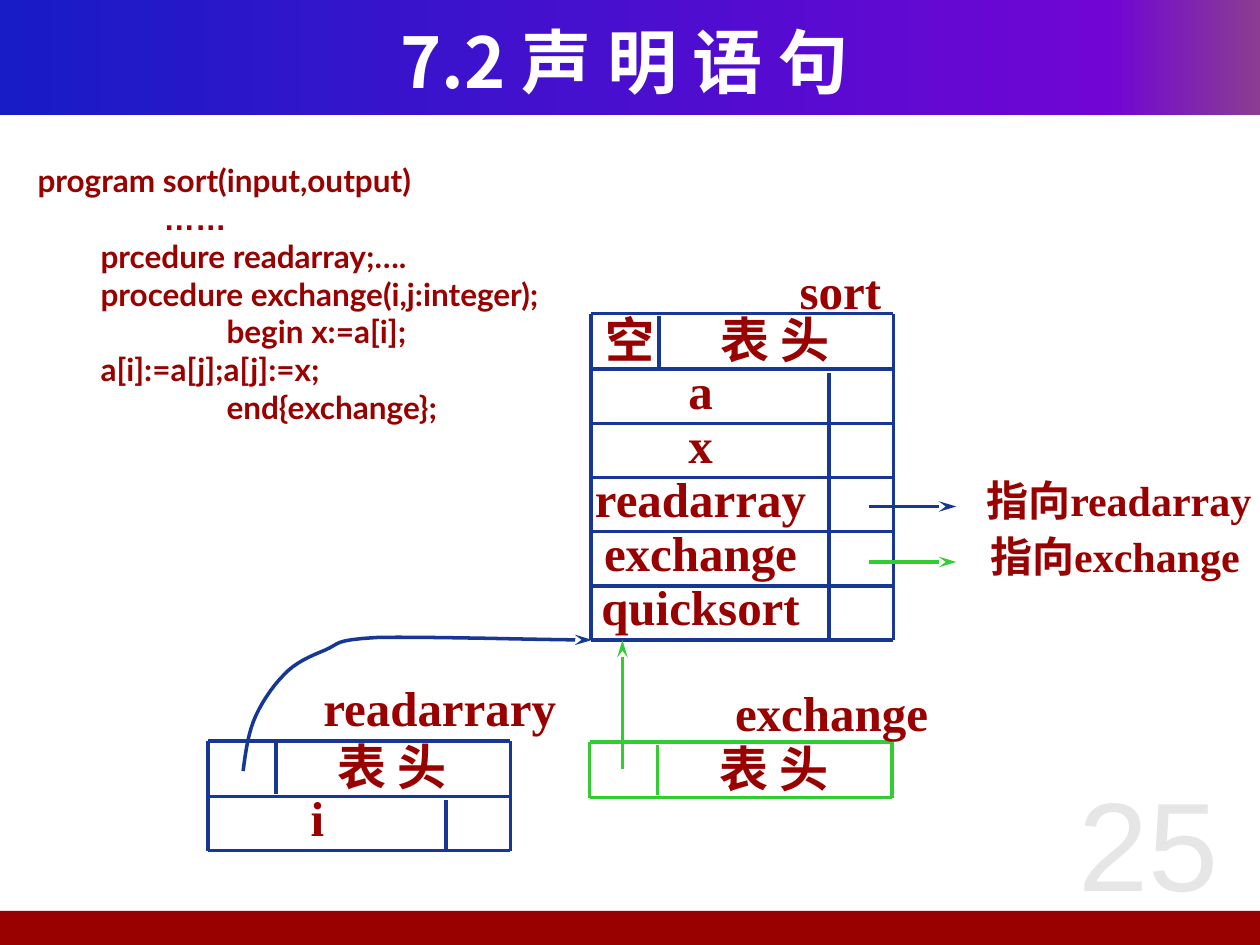
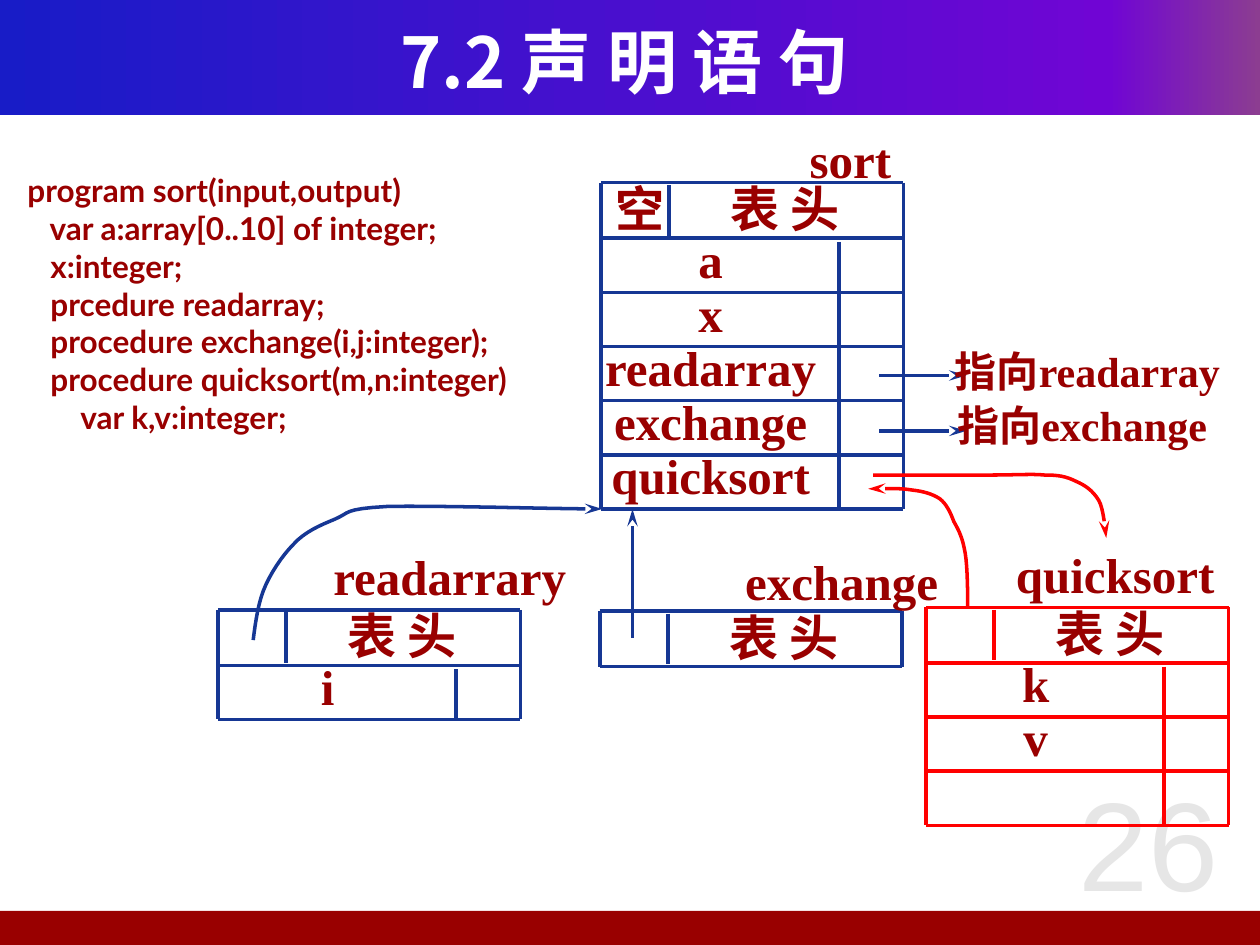
from dataclasses import dataclass
from typing import NamedTuple

from lxml import etree
from pptx import Presentation
from pptx.dml.color import RGBColor
from pptx.enum.shapes import MSO_CONNECTOR, MSO_SHAPE
from pptx.enum.text import MSO_ANCHOR, PP_ALIGN
from pptx.oxml.ns import qn
from pptx.util import Inches, Pt

LEFT, CENTER = PP_ALIGN.LEFT, PP_ALIGN.CENTER
MIDDLE, TOP = MSO_ANCHOR.MIDDLE, MSO_ANCHOR.TOP
STRAIGHT, RECTANGLE = MSO_CONNECTOR.STRAIGHT, MSO_SHAPE.RECTANGLE

COLORS = {
    "text": "990000",
    "blue": "163794",
    "green": "33CC33",
    "red": "FF0000",
    "title": "FFFFFF",
    "number": "E6E6E6",
}
BAND_STOPS = [(0, "181CC7"), (88, "7005D4"), (100, "8C3D91")]
CJK, SERIF, SANS, CODE = "Noto Sans CJK SC", "Times New Roman", "Arial", "Lato"

TABLE_WIDTH, HEAD_HEIGHT, ROW_HEIGHT = 2.4, 0.44, 0.43
LINK_WIDTH, NAME_WIDTH = 0.54, 1.89
LABEL_WIDTH, LABEL_HEIGHT = 2.2, 0.53


class Point(NamedTuple):
    x: float
    y: float

    def moved(self, x: float, y: float) -> "Point":
        return Point(self.x + x, self.y + y)


class Area(NamedTuple):
    left: float
    top: float
    width: float
    height: float


@dataclass
class Style:
    size: int
    font: str = SERIF
    color: str = "text"
    bold: bool = True
    align: PP_ALIGN = CENTER


@dataclass
class CodeLine:
    text: str
    indent: float = 0
    font: str = CODE


@dataclass
class SymbolTable:
    """One procedure's table; title_at is the title's top centre from the corner."""
    title: str
    title_at: Point
    names: list[str]
    link: str = ""


LABEL = Style(28)
POINTER = Style(24)
TITLE = Style(40, CJK, "title")
PAGE_NUMBER = Style(72, SANS, "number", bold=False)

SORT = SymbolTable("sort", Point(1.98, -0.47),
                   ["a", "x", "readarray", "exchange", "quicksort"], "空")
READARRAY = SymbolTable("readarrary", Point(1.84, -0.55), ["i"])
EXCHANGE = SymbolTable("exchange", Point(1.92, -0.52), [])
QUICKSORT = SymbolTable("quicksort", Point(1.5, -0.55), ["k", "v", ""])

# Curves: a start point, then three Bezier points per segment.
READARRAY_LINK = [
    (-2.76, 3.63), (-2.75, 3.56), (-2.73, 3.37), (-2.68, 3.24),
    (-2.63, 3.11), (-2.53, 2.96), (-2.44, 2.87),
    (-2.35, 2.77), (-2.23, 2.72), (-2.11, 2.67),
    (-1.99, 2.62), (-2.05, 2.59), (-1.7, 2.57),
    (-1.35, 2.56), (-0.35, 2.59), (0.01, 2.59),
]
QUICKSORT_LINK = [
    (7.68, 4.82), (7.68, 4.75), (7.68, 4.5), (7.66, 4.39),
    (7.64, 4.27), (7.61, 4.21), (7.57, 4.14),
    (7.54, 4.06), (7.51, 4), (7.46, 3.96),
    (7.4, 3.92), (7.33, 3.9), (7.24, 3.89),
    (7.14, 3.87), (6.96, 3.88), (6.89, 3.88),
]
QUICKSORT_POINTER = [
    (6.93, 3.77), (7.08, 3.77), (7.63, 3.77), (7.85, 3.77),
    (8.08, 3.77), (8.18, 3.76), (8.29, 3.77),
    (8.4, 3.77), (8.46, 3.78), (8.54, 3.82),
    (8.61, 3.85), (8.67, 3.89), (8.72, 3.97),
    (8.76, 4.04), (8.77, 4.2), (8.78, 4.27),
]

SORT_CODE = [
    CodeLine("program sort(input,output)"),
    CodeLine("……", 1, SANS),
    CodeLine("prcedure readarray;….", 0.5),
    CodeLine("procedure exchange(i,j:integer);", 0.5),
    CodeLine("begin x:=a[i];", 1.5),
    CodeLine("a[i]:=a[j];a[j]:=x;", 0.5),
    CodeLine("end{exchange};", 1.5),
]
QUICKSORT_CODE = [
    CodeLine("program sort(input,output)"),
    CodeLine("   var a:array[0..10] of integer;"),
    CodeLine("   x:integer;"),
    CodeLine("   prcedure readarray;"),
    CodeLine("   procedure exchange(i,j:integer);"),
    CodeLine("   procedure quicksort(m,n:integer)"),
    CodeLine("       var k,v:integer;"),
]


def rgb(name: str) -> RGBColor:
    return RGBColor.from_string(COLORS[name])


def style_paragraph(paragraph, style: Style) -> None:
    paragraph.alignment = style.align
    font = paragraph.font
    font.size, font.bold, font.name = Pt(style.size), style.bold, style.font
    font.color.rgb = rgb(style.color)
    defaults = paragraph._p.pPr.find(qn("a:defRPr"))
    etree.SubElement(defaults, qn("a:ea")).set("typeface", CJK)


def add_frame(page, area: Area, anchor=TOP, wrap: bool = False):
    box = page.shapes.add_textbox(*map(Inches, area))
    frame = box.text_frame
    frame.word_wrap, frame.vertical_anchor = wrap, anchor
    return frame


def add_text(page, text: str, area: Area, style: Style, anchor=TOP) -> None:
    paragraph = add_frame(page, area, anchor).paragraphs[0]
    paragraph.text = text
    style_paragraph(paragraph, style)


def add_label(page, text: str, top_center: Point, width: float = LABEL_WIDTH) -> None:
    area = Area(top_center.x - width / 2, top_center.y, width, LABEL_HEIGHT)
    add_text(page, text, area, LABEL)


def style_line(shape, color: str, arrow: bool) -> None:
    shape.line.color.rgb = rgb(color)
    shape.line.width = Pt(2)
    if arrow:
        etree.SubElement(shape.line._get_or_add_ln(), qn("a:tailEnd"),
                         type="stealth", w="med", len="lg")


def add_line(page, start: Point, end: Point, color: str, arrow: bool = False) -> None:
    line = page.shapes.add_connector(STRAIGHT, *map(Inches, (*start, *end)))
    style_line(line, color, arrow)
    etree.SubElement(line._element.spPr, qn("a:effectLst"))


def bezier_points(points: list, steps: int = 8) -> list[Point]:
    """Sample the curve, leaving out its start point."""
    samples = []
    for first in range(0, len(points) - 1, 3):
        controls = points[first:first + 4]
        for step in range(1, steps + 1):
            t = step / steps
            weights = ((1 - t) ** 3, 3 * t * (1 - t) ** 2, 3 * t * t * (1 - t), t ** 3)
            samples.append(Point(*(sum(w * p[axis] for w, p in zip(weights, controls))
                                   for axis in (0, 1))))
    return samples


def add_curve(page, points: list, color: str) -> None:
    builder = page.shapes.build_freeform(*map(Inches, points[0]))
    builder.add_line_segments(
        [tuple(map(Inches, point)) for point in bezier_points(points)], close=False)
    curve = builder.convert_to_shape()
    curve.shadow.inherit = False
    curve.fill.background()
    style_line(curve, color, arrow=True)


def add_symbol_table(page, table: SymbolTable, corner: Point, color: str) -> None:
    row_tops = [HEAD_HEIGHT + ROW_HEIGHT * row for row in range(len(table.names) + 1)]
    bottom = row_tops[-1]
    for y in [0, *row_tops]:
        add_line(page, corner.moved(0, y), corner.moved(TABLE_WIDTH, y), color)
    uprights = [(0, 0, bottom), (TABLE_WIDTH, 0, bottom),
                (LINK_WIDTH, 0.02, HEAD_HEIGHT - 0.02)]
    if table.names:
        uprights.append((NAME_WIDTH, HEAD_HEIGHT + 0.03, bottom))
    for x, start, end in uprights:
        add_line(page, corner.moved(x, start), corner.moved(x, end), color)

    add_label(page, table.title, corner.moved(*table.title_at))
    add_label(page, "表 头", corner.moved(1.46, -0.08), 1.48)
    if table.link:
        add_label(page, table.link, corner.moved(0.3, -0.08), 0.57)
    for name, y in zip(table.names, row_tops):
        if name:
            add_label(page, name, corner.moved(0.87, y - 0.12))


def add_program_tables(page, corner: Point, exchange_color: str) -> None:
    """Draw the sort table at corner, the two tables below it and their arrows."""
    add_symbol_table(page, SORT, corner, "blue")
    add_symbol_table(page, READARRAY, corner.moved(-3.04, 3.39), "blue")
    add_symbol_table(page, EXCHANGE, corner.moved(-0.01, 3.4), exchange_color)
    add_curve(page, [corner.moved(*point) for point in READARRAY_LINK], "blue")
    add_line(page, corner.moved(0.25, 3.61), corner.moved(0.25, 2.59),
             exchange_color, arrow=True)
    for y, color in ((1.53, "blue"), (1.97, exchange_color)):
        add_line(page, corner.moved(2.21, y), corner.moved(2.9, y), color, arrow=True)


def add_code(page, lines: list[CodeLine], area: Area) -> None:
    frame = add_frame(page, area, wrap=True)
    for index, line in enumerate(lines):
        paragraph = frame.add_paragraph() if index else frame.paragraphs[0]
        paragraph.text = line.text
        properties = paragraph._p.get_or_add_pPr()
        properties.set("marL", str(Inches(line.indent)))
        properties.set("indent", "0")
        style_paragraph(paragraph, Style(18, line.font, align=LEFT))


def add_band(page, area: Area):
    band = page.shapes.add_shape(RECTANGLE, *map(Inches, area))
    band.shadow.inherit = False
    band.line.fill.background()
    return band


def add_page(deck, number: int):
    page = deck.slides.add_slide(deck.slide_layouts[6])
    header = add_band(page, Area(0, 0, 10, 0.91))
    header.fill.gradient()
    header.fill.gradient_angle = 0
    stops = header._element.spPr.find(qn("a:gradFill")).find(qn("a:gsLst"))
    for stop in list(stops):
        stops.remove(stop)
    for position, color in BAND_STOPS:
        stop = etree.SubElement(stops, qn("a:gs"), pos=str(position * 1000))
        etree.SubElement(stop, qn("a:srgbClr"), val=color)
    footer = add_band(page, Area(0, 7.23, 10, 0.27))
    footer.fill.solid()
    footer.fill.fore_color.rgb = rgb("text")
    add_text(page, "7.2 声 明 语 句", Area(0.33, 0.17, 9.25, 0.62), TITLE, MIDDLE)
    add_text(page, str(number), Area(8.23, 6.03, 1.77, 1.42), PAGE_NUMBER)
    return page


def add_exchange_page(deck) -> None:
    page = add_page(deck, 25)
    add_program_tables(page, Point(4.69, 2.49), "green")
    add_text(page, "指向readarray", Area(7.4, 3.72, 2.96, 0.57), POINTER)
    add_text(page, "指向exchange", Area(7.42, 4.16, 2.86, 0.61), POINTER)
    add_code(page, SORT_CODE, Area(0.2, 1.23, 4.96, 2.2))


def add_quicksort_page(deck) -> None:
    page = add_page(deck, 26)
    add_program_tables(page, Point(4.77, 1.45), "blue")
    add_symbol_table(page, QUICKSORT, Point(7.35, 4.82), "red")
    add_curve(page, QUICKSORT_LINK, "red")
    add_curve(page, QUICKSORT_POINTER, "red")
    pointer = Style(24, align=LEFT)
    add_text(page, "指向readarray", Area(7.48, 2.69, 2.5, 0.57), pointer)
    add_text(page, "指向exchange", Area(7.5, 3.12, 2.5, 0.61), pointer)
    add_code(page, QUICKSORT_CODE, Area(0.12, 1.31, 5, 2.2))


def main() -> None:
    deck = Presentation()
    deck.slide_width, deck.slide_height = Inches(10), Inches(7.5)
    add_exchange_page(deck)
    add_quicksort_page(deck)
    deck.save("out.pptx")


if __name__ == "__main__":
    main()
